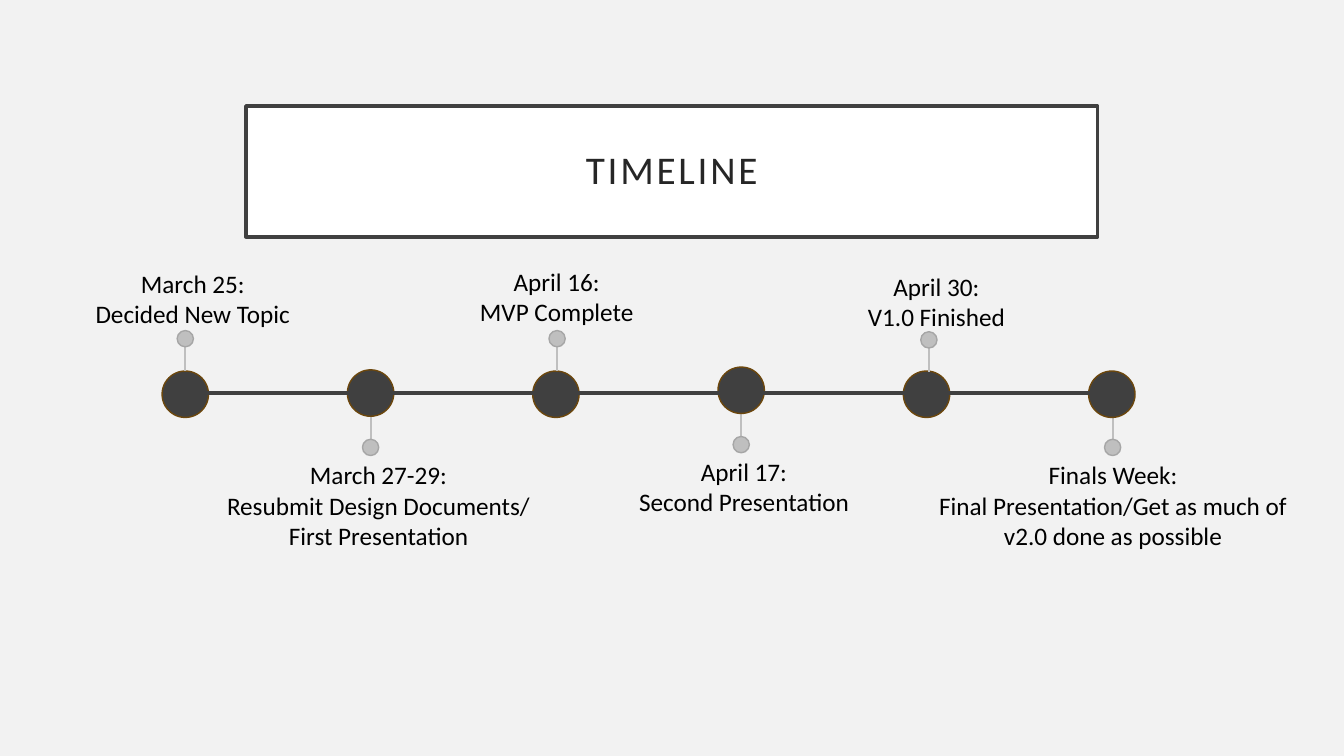
from lxml import etree
from pptx import Presentation
from pptx import util as u
from pptx.dml.color import RGBColor
from pptx.enum import shapes, text
from pptx.oxml.ns import qn

FONT = "Calibri"
BACKGROUND, WHITE, BLACK = "F2F2F2", "FFFFFF", "000000"
DARK, TITLE_INK, NODE_EDGE = "404040", "262626", "6C470D"
STEM, BEAD_EDGE = "BFBFBF", "A6A6A6"

TITLE = "TIMELINE"
MILESTONES = [
    {"lines": ["March 25:", "Decided New Topic"], "above": True,
     "node_top": 9.35, "stem_x": 4.67, "bead_top": 8.33, "label": (4.86, 6.63, 5.61)},
    {"lines": ["March 27-29:", "Resubmit Design Documents/", "First Presentation"], "above": False,
     "node_top": 9.32, "stem_x": 9.34, "bead_top": 11.07, "label": (9.54, 11.46, 8.26)},
    {"lines": ["April 16:", "MVP Complete"], "above": True,
     "node_top": 9.35, "stem_x": 14.04, "bead_top": 8.33, "label": (14.03, 6.58, 4.5)},
    {"lines": ["April 17:", "Second Presentation"], "above": False,
     "node_top": 9.25, "stem_x": 18.68, "bead_top": 11, "label": (18.75, 11.38, 5.84)},
    {"lines": ["April 30:", "V1.0 Finished"], "above": True,
     "node_top": 9.35, "stem_x": 23.41, "bead_top": 8.36, "label": (23.6, 6.71, 3.96)},
    {"lines": ["Finals Week:", "Final Presentation/Get as much of", "v2.0 done as possible"], "above": False,
     "node_top": 9.35, "stem_x": 28.04, "bead_top": 11.07, "label": (28.05, 11.46, 9.27)},
]

SPACING = 4.67
NODE, BEAD, STEM_LENGTH = 1.17, 0.41, 0.61
AXIS_Y = 9.91
LINE_HEIGHT, LABEL_PADDING = 0.76, 0.27


def color(value):
    return RGBColor.from_string(value)


def add_box(slide, kind, left, top, width, height, fill, edge, weight):
    shape = slide.shapes.add_shape(kind, u.Cm(left), u.Cm(top), u.Cm(width), u.Cm(height))
    shape.shadow.inherit = False
    shape.fill.solid()
    shape.fill.fore_color.rgb = color(fill)
    shape.line.color.rgb = color(edge)
    shape.line.width = u.Pt(weight)
    return shape


def add_circle(slide, center, top, size, fill, edge):
    add_box(slide, shapes.MSO_SHAPE.OVAL, center - size / 2, top, size, size, fill, edge, 1)


def add_line(slide, x1, y1, x2, y2, stroke, weight):
    line = slide.shapes.add_connector(
        shapes.MSO_CONNECTOR.STRAIGHT, u.Cm(x1), u.Cm(y1), u.Cm(x2), u.Cm(y2))
    line.line.color.rgb = color(stroke)
    line.line.width = u.Pt(weight)
    etree.SubElement(line._element.spPr, qn("a:effectLst"))


def write_centered(paragraph, content, size, ink):
    paragraph.text = content
    paragraph.alignment = text.PP_ALIGN.CENTER
    paragraph.font.name = FONT
    paragraph.font.size = u.Pt(size)
    paragraph.font.color.rgb = color(ink)


def add_title(slide):
    shape = add_box(slide, shapes.MSO_SHAPE.RECTANGLE, 6.2, 2.67, 21.46, 3.3, WHITE, DARK, 2.5)
    frame = shape.text_frame
    frame.vertical_anchor = text.MSO_ANCHOR.MIDDLE
    paragraph = frame.paragraphs[0]
    write_centered(paragraph, TITLE, 28, TITLE_INK)
    paragraph.line_spacing = 0.9
    paragraph.runs[0].font._element.set("spc", "200")


def add_stem(slide, milestone):
    x, top = milestone["stem_x"], milestone["bead_top"]
    start = top + BEAD if milestone["above"] else top - STEM_LENGTH
    add_line(slide, x, start, x, start + STEM_LENGTH, STEM, 1.5)
    add_circle(slide, x, top, BEAD, STEM, BEAD_EDGE)


def add_label(slide, milestone):
    center, top, width = milestone["label"]
    lines = milestone["lines"]
    height = len(lines) * LINE_HEIGHT + LABEL_PADDING
    label = slide.shapes.add_textbox(
        u.Cm(center - width / 2), u.Cm(top), u.Cm(width), u.Cm(height))
    frame = label.text_frame
    frame.word_wrap = False
    frame.auto_size = text.MSO_AUTO_SIZE.SHAPE_TO_FIT_TEXT
    for index, content in enumerate(lines):
        paragraph = frame.add_paragraph() if index else frame.paragraphs[0]
        write_centered(paragraph, content, 18, BLACK)


def main():
    presentation = Presentation()
    presentation.slide_width = u.Cm(33.87)
    presentation.slide_height = u.Cm(19.05)
    slide = presentation.slides.add_slide(presentation.slide_layouts[6])
    slide.background.fill.solid()
    slide.background.fill.fore_color.rgb = color(BACKGROUND)

    for milestone in MILESTONES:
        if not milestone["above"]:
            add_stem(slide, milestone)
    add_title(slide)
    for number, milestone in enumerate(MILESTONES, 1):
        add_circle(slide, number * SPACING, milestone["node_top"], NODE, DARK, NODE_EDGE)
    add_line(slide, SPACING, AXIS_Y, len(MILESTONES) * SPACING, AXIS_Y, DARK, 3)
    for milestone in MILESTONES:
        if milestone["above"]:
            add_stem(slide, milestone)
    for milestone in MILESTONES:
        add_label(slide, milestone)

    presentation.save("out.pptx")


if __name__ == "__main__":
    main()
